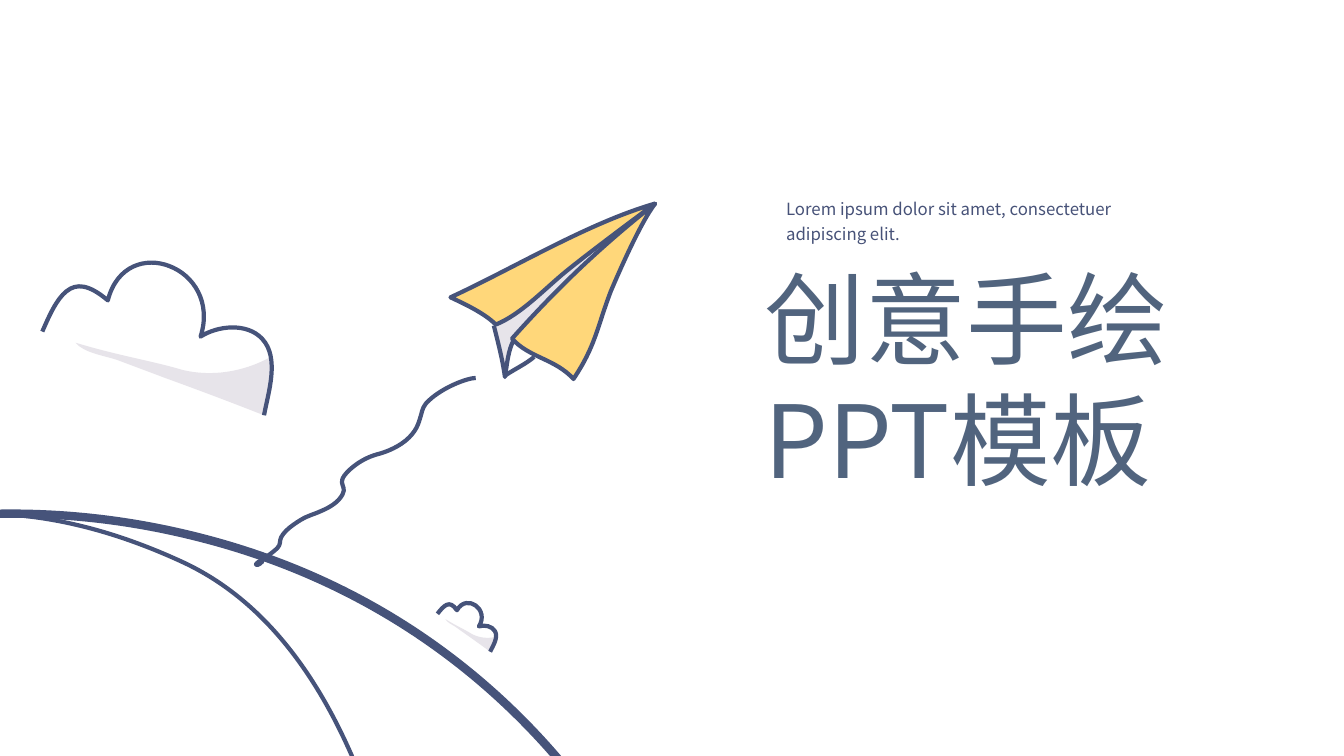
from dataclasses import dataclass
from math import cos, radians, sin

from lxml.etree import SubElement
from pptx import Presentation
from pptx.dml.color import RGBColor
from pptx.enum.text import MSO_ANCHOR, MSO_AUTO_SIZE, PP_ALIGN
from pptx.oxml.ns import qn
from pptx.util import Cm, Pt

TITLE = ["创意手绘", "PPT模板"]
SUBTITLE = ["Lorem ipsum dolor sit amet, consectetuer adipiscing elit."]


@dataclass(frozen=True)
class Theme:
    font: str = "Noto Sans CJK JP"
    title: RGBColor = RGBColor(0x51, 0x64, 0x7E)
    subtitle: RGBColor = RGBColor(0x47, 0x52, 0x78)
    ink: RGBColor = RGBColor(0x46, 0x53, 0x7A)
    paper: RGBColor = RGBColor(0xFF, 0xD7, 0x7A)
    shade: RGBColor = RGBColor(0xE7, 0xE4, 0xEA)
    title_size: Pt = Pt(72)
    subtitle_size: Pt = Pt(12)
    thick: Pt = Pt(6)
    thin: Pt = Pt(3)


THEME = Theme()
GRID = Cm(2.54)

HILL = [
    (6.49, 17.44), (8.7, 13.19), (7.28, 6.67), (1.97, 5.33),
    (-3.61, 3.91), (-9.01, 9.2), (-8.29, 14.56),
    (-7.35, 21.4), (1.33, 24.09), (5.68, 18.68),
    (5.99, 18.29), (6.26, 17.88), (6.49, 17.44),
]
INNER_HILL = [
    (0.57, 21.23), (4.38, 19.99), (4.71, 13.79), (4.24, 10.47),
    (4.01, 8.83), (3.51, 6.37), (1.82, 5.58),
    (-3.5, 3.11), (-5.71, 10.71), (-5.37, 14.33),
    (-5.12, 17.07), (-2.92, 22.36), (0.57, 21.23),
]
TRAIL_END = [
    (2.54, 5.6), (2.54, 5.59), (2.58, 5.56), (2.6, 5.56),
    (2.63, 5.56), (2.54, 5.63), (2.54, 5.6),
]
TRAIL = [
    (4.72, 3.75), (4.64, 3.75), (4.4, 3.84), (4.26, 3.97),
    (4.2, 4.02), (4.19, 4.07), (4.18, 4.11),
    (4.16, 4.17), (4.15, 4.25), (4.06, 4.34),
    (3.97, 4.43), (3.84, 4.48), (3.77, 4.5),
    (3.69, 4.52), (3.58, 4.56), (3.47, 4.66),
    (3.29, 4.83), (3.5, 4.8), (3.36, 4.96),
    (3.29, 5.03), (3.21, 5.06), (3.14, 5.09),
    (3.06, 5.12), (3.02, 5.13), (2.92, 5.2),
    (2.86, 5.24), (2.81, 5.29), (2.79, 5.33),
    (2.77, 5.37), (2.79, 5.4), (2.75, 5.44),
    (2.72, 5.47), (2.65, 5.52), (2.61, 5.55),
]
KEEL = [
    (5.1, 3.37), (5.04, 3.47), (5.02, 3.62), (5.01, 3.73),
    (4.99, 3.57), (4.93, 3.39), (4.9, 3.23),
    (4.9, 3.23), (5.93, 2.44), (5.93, 2.44),
    (5.93, 2.44), (5.1, 3.37), (5.1, 3.37),
]
RIGHT_WING = [
    (6.5, 2.02), (5.94, 2.46), (5.5, 2.89), (5.08, 3.36),
    (5.25, 3.55), (5.51, 3.56), (5.69, 3.76),
    (5.91, 3.43), (5.92, 3.26), (6.06, 2.89),
    (6.15, 2.68), (6.36, 2.2), (6.5, 2.02),
]
LEFT_WING = [
    (5.62, 2.69), (5.41, 2.86), (5.17, 3.12), (4.92, 3.22),
    (4.81, 3.11), (4.62, 3.02), (4.47, 2.95),
    (5.1, 2.66), (5.84, 2.21), (6.5, 2.02),
    (6.5, 2.02), (5.89, 2.47), (5.62, 2.69),
]
KEEL_EDGE = [
    (5.1, 3.37), (5.04, 3.47), (5.03, 3.63), (5.01, 3.74),
    (4.99, 3.58), (4.94, 3.39), (4.9, 3.23),
]
KEEL_FOLD = [(5.3, 3.54), (5.22, 3.61), (5.11, 3.66), (5.02, 3.72)]
CLOUD_SHADE = [
    (0.75, 3.4), (1.18, 3.53), (1.51, 3.58), (1.81, 3.67),
    (2.1, 3.74), (2.41, 3.69), (2.67, 3.55),
    (2.73, 3.67), (2.62, 4.12), (2.62, 4.12),
    (2.29, 3.99), (1.97, 3.87), (1.64, 3.75),
    (1.48, 3.69), (1.32, 3.63), (1.16, 3.57),
    (1.04, 3.53), (0.83, 3.5), (0.75, 3.4),
]
CLOUD_EDGE = [
    (0.42, 3.29), (0.49, 3.13), (0.56, 2.97), (0.66, 2.89),
    (0.76, 2.81), (0.88, 2.82), (1.07, 2.98),
    (1.16, 2.63), (1.45, 2.55), (1.68, 2.64),
    (1.92, 2.73), (2.1, 3), (1.99, 3.34),
    (2.16, 3.23), (2.45, 3.2), (2.6, 3.36),
    (2.78, 3.55), (2.66, 3.9), (2.62, 4.12),
]


def small_cloud(outline):
    left, top = CLOUD_EDGE[0]
    across, down = 0.274 * cos(radians(15)), 0.274 * sin(radians(15))
    return [(4.34 + (x - left) * across - (y - top) * down,
             6.09 + (x - left) * down + (y - top) * across) for x, y in outline]


DRAWINGS = [
    [(HILL, None, THEME.thick)],
    [(INNER_HILL, None, THEME.thin)],
    [(TRAIL_END, None, THEME.thin), (TRAIL, None, THEME.thin)],
    [(KEEL, THEME.shade, None), (RIGHT_WING, THEME.paper, THEME.thin),
     (LEFT_WING, THEME.paper, THEME.thin), (KEEL_EDGE, None, THEME.thin),
     (KEEL_FOLD, None, THEME.thin)],
    [(CLOUD_SHADE, THEME.shade, None), (CLOUD_EDGE, None, THEME.thin)],
    [(small_cloud(CLOUD_SHADE), THEME.shade, None),
     (small_cloud(CLOUD_EDGE), None, THEME.thin)],
]


def extent(values):
    reached = [values[0]]
    for first in range(0, len(values) - 1, 3):
        a, b, c, d = values[first:first + 4]
        for t in (step / 24 for step in range(1, 25)):
            u = 1 - t
            reached.append(a * u**3 + 3 * b * t * u**2 + 3 * c * t**2 * u + d * t**3)
    return round(min(reached)), round(max(reached))


def add_points(outline, tag, points):
    segment = SubElement(outline, qn(tag))
    for x, y in points:
        SubElement(segment, qn("a:pt"), x=str(x), y=str(y))


def add_curves(group, outline):
    points = [(round(x * GRID), round(y * GRID)) for x, y in outline]
    (left, right), (top, bottom) = (extent(values) for values in zip(*points))
    builder = group.shapes.build_freeform(left, top, scale=1.0)
    builder.add_line_segments([(right, bottom)], close=False)
    shape = builder.convert_to_shape()
    curves = shape._element.find(".//" + qn("a:path"))
    for segment in list(curves):
        curves.remove(segment)
    points = [(x - left, y - top) for x, y in points]
    add_points(curves, "a:moveTo", points[:1])
    for first in range(1, len(points), 3):
        add_points(curves, "a:cubicBezTo", points[first:first + 3])
    if points[0] == points[-1]:
        SubElement(curves, qn("a:close"))
    return shape


def draw(group, outline, fill, width):
    shape = add_curves(group, outline)
    shape.shadow.inherit = False
    if fill is None:
        shape.fill.background()
    else:
        shape.fill.solid()
        shape.fill.fore_color.rgb = fill
    if width is None:
        shape.line.fill.background()
    else:
        shape.line.color.rgb = THEME.ink
        shape.line.width = width


def write(box, lines, place, size, color, spacing, anchor, wrap):
    box.left, box.top, box.width, box.height = (Cm(length) for length in place)
    frame = box.text_frame
    frame.text = "\n".join(lines)
    frame.word_wrap = wrap
    frame.auto_size = MSO_AUTO_SIZE.SHAPE_TO_FIT_TEXT
    frame.vertical_anchor = anchor
    for para in frame.paragraphs:
        para.alignment = PP_ALIGN.LEFT
        para.line_spacing = spacing
        para.space_before = Pt(0)
        para.font.size = size
        para.font.color.rgb = color
        para.font.name = THEME.font
        defaults = para._p.get_or_add_pPr().find(qn("a:defRPr"))
        SubElement(defaults, qn("a:ea"), typeface=THEME.font)
    return frame


def main():
    deck = Presentation()
    deck.slide_width, deck.slide_height = Cm(33.87), Cm(19.05)
    page = deck.slides.add_slide(deck.slide_layouts[0])
    write(page.shapes.title, TITLE, (19.02, 6.35, 11.51, 6.4),
          THEME.title_size, THEME.title, 1.0, MSO_ANCHOR.TOP, False)
    frame = write(page.placeholders[1], SUBTITLE, (19.71, 4.8, 8.86, 1.45),
                  THEME.subtitle_size, THEME.subtitle, 1.2, MSO_ANCHOR.MIDDLE, True)
    frame.margin_left = frame.margin_right = Cm(0.1)
    frame.margin_top = frame.margin_bottom = Cm(0.1)
    for parts in DRAWINGS:
        group = page.shapes.add_group_shape()
        for part in parts:
            draw(group, *part)
    deck.save("out.pptx")


if __name__ == "__main__":
    main()
